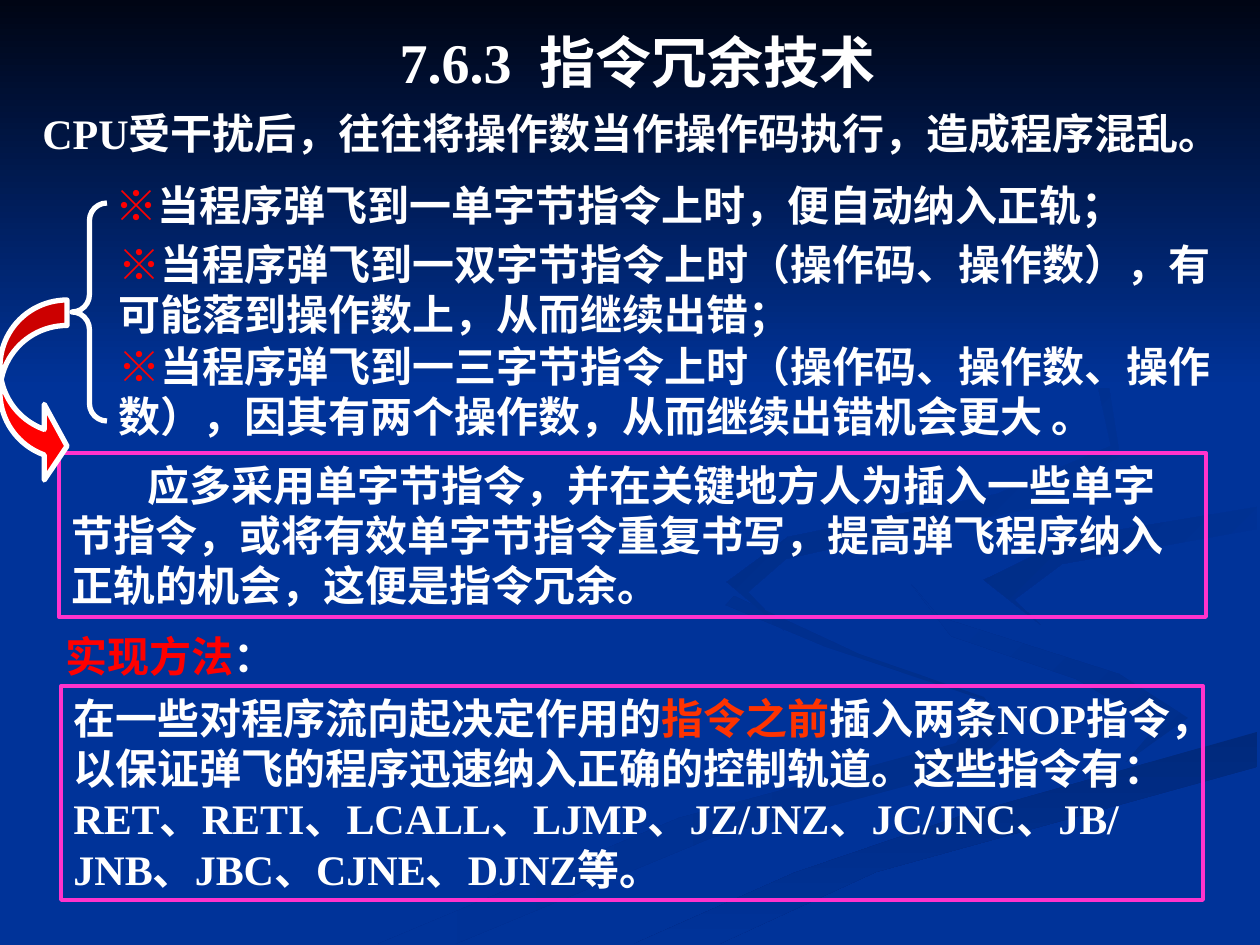
from pptx import Presentation
from pptx.dml.color import RGBColor
from pptx.enum.shapes import MSO_SHAPE
from pptx.enum.text import MSO_ANCHOR, PP_ALIGN
from pptx.util import Emu, Pt

PX = 914400 / 126
FONT = "Times New Roman"
COLORS = {
    "blue": "003399", "night": "000514", "shade": "002E8A", "dusk": "00297C",
    "deep": "002C85", "dark": "002B81", "white": "FFFFFF", "red": "FF0000",
    "orange": "FF3300", "pink": "FF33CC",
}


def rgb(name):
    return RGBColor.from_string(COLORS[name])


def px(*nums):
    """Turn pixel lengths into EMU."""
    return [Emu(round(n * PX)) for n in nums]


prs = Presentation()
prs.slide_width, prs.slide_height = px(1260, 945)
slide = prs.slides.add_slide(prs.slide_layouts[6])
shapes = slide.shapes
slide.background.fill.solid()
slide.background.fill.fore_color.rgb = rgb("blue")

# Backdrop: start colour, end colour, gradient angle, outline
swirls = [
    ("shade", "blue", 180, [
        (984, 697), (859, 654), (734, 596), (726, 605), (824, 646), (984, 700),
        (956, 743), (679, 818), (378, 944), (455, 944), (711, 838), (969, 769),
        (1008, 732)]),
    ("shade", "blue", 135, [
        (1188, 718), (1119, 674), (939, 617), (912, 585), (951, 636),
        (1076, 679), (1157, 726), (1126, 762)]),
    ("dusk", "blue", 270, [
        (634, 944), (719, 944), (876, 872), (1257, 767), (1257, 732),
        (964, 815), (794, 873)]),
    ("blue", "deep", 135, [
        (984, 580), (1041, 625), (1014, 600), (1062, 564), (1257, 529),
        (1257, 507), (1070, 538)]),
    ("blue", "dark", 135, [
        (861, 542), (1039, 507), (1120, 456), (1109, 387), (960, 294),
        (1096, 377), (1111, 446), (997, 494), (788, 537), (727, 582),
        (784, 630), (748, 592), (786, 559)]),
    ("night", "blue", 270, [(0, 0), (0, 388), (1260, 388), (1260, 0)]),
]
for start, end, angle, points in swirls:
    pen = shapes.build_freeform(*points[0], scale=PX)
    pen.add_line_segments(points[1:], close=True)
    swirl = pen.convert_to_shape()
    swirl.shadow.inherit = False
    swirl.line.fill.background()
    swirl.fill.gradient()
    swirl.fill.gradient_angle = angle
    for stop, name in zip(swirl.fill.gradient_stops, (start, end)):
        stop.color.rgb = rgb(name)

# Text: place, size, framed, first-line indent, runs
texts = [
    ((84, 21, 1108, 81), 32, False, 0, [("7.6.3  指令冗余技术", "white")]),
    ((30, 101, 1198, 113), 24, False, 0, [
        ("CPU受干扰后，往往将操作数当作操作码执行，造成程序混乱。", "white")]),
    ((103, 173, 1128, 63), 24, False, 0, [
        ("※", "red"),
        ("当程序弹飞到一单字节指令上时，便自动纳入正轨；", "white")]),
    ((106, 232, 1148, 113), 24, False, 0, [
        ("※", "red"),
        ("当程序弹飞到一双字节指令上时（操作码、操作数），有可能落到操作数上，"
         "从而继续出错；", "white")]),
    ((106, 334, 1120, 113), 24, False, 0, [
        ("※", "red"),
        ("当程序弹飞到一三字节指令上时（操作码、操作数、操作数），"
         "因其有两个操作数，从而继续出错机会更大 。", "white")]),
    ((59, 453, 1147, 164), 24, True, 76, [
        ("应多采用单字节指令，并在关键地方人为插入一些单字节指令，"
         "或将有效单字节指令重复书写，提高弹飞程序纳入正轨的机会，"
         "这便是指令冗余。", "white")]),
    ((53, 624, 252, 63), 24, False, 0, [("实现方法", "red"), ("：", "white")]),
    ((61, 686, 1142, 214), 24, True, 0, [
        ("在一些对程序流向起决定作用的", "white"),
        ("指令之前", "orange"),
        ("插入两条NOP指令，以保证弹飞的程序迅速纳入正确的控制轨道。"
         "这些指令有：RET、RETI、LCALL、LJMP、JZ/JNZ、JC/JNC、JB/JNB、"
         "JBC、CJNE、DJNZ等。", "white")]),
]
for place, size, framed, indent, runs in texts:
    if framed:
        box = shapes.add_shape(MSO_SHAPE.RECTANGLE, *px(*place))
        box.shadow.inherit = False
        box.fill.background()
        box.line.color.rgb = rgb("pink")
        box.line.width = Pt(2.25)
    else:
        box = shapes.add_textbox(*px(*place))
    frame = box.text_frame
    frame.word_wrap = True
    frame.vertical_anchor = MSO_ANCHOR.TOP
    para = frame.paragraphs[0]
    para.alignment = PP_ALIGN.CENTER if size == 32 else PP_ALIGN.LEFT
    if indent:
        para._p.get_or_add_pPr().set("indent", str(px(indent)[0]))
    for words, name in runs:
        run = para.add_run()
        run.text = words
        run.font.name = FONT
        run.font.size = Pt(size)
        run.font.bold = True
        run.font.color.rgb = rgb(name)

# Brace around the three cases, and the arrow to the conclusion
marks = [
    (MSO_SHAPE.LEFT_BRACE, (72, 203, 35, 218), (0.5, 0.5), None),
    (MSO_SHAPE.CURVED_RIGHT_ARROW, (0, 300, 67, 184), (0.38, 1.13, 0.34), "red"),
]
for kind, place, bends, name in marks:
    mark = shapes.add_shape(kind, *px(*place))
    mark.shadow.inherit = False
    for i, bend in enumerate(bends):
        mark.adjustments[i] = bend
    mark.line.color.rgb = rgb("white")
    mark.line.width = Pt(3)
    if name:
        mark.fill.solid()
        mark.fill.fore_color.rgb = rgb(name)
    else:
        mark.fill.background()

prs.save("out.pptx")
